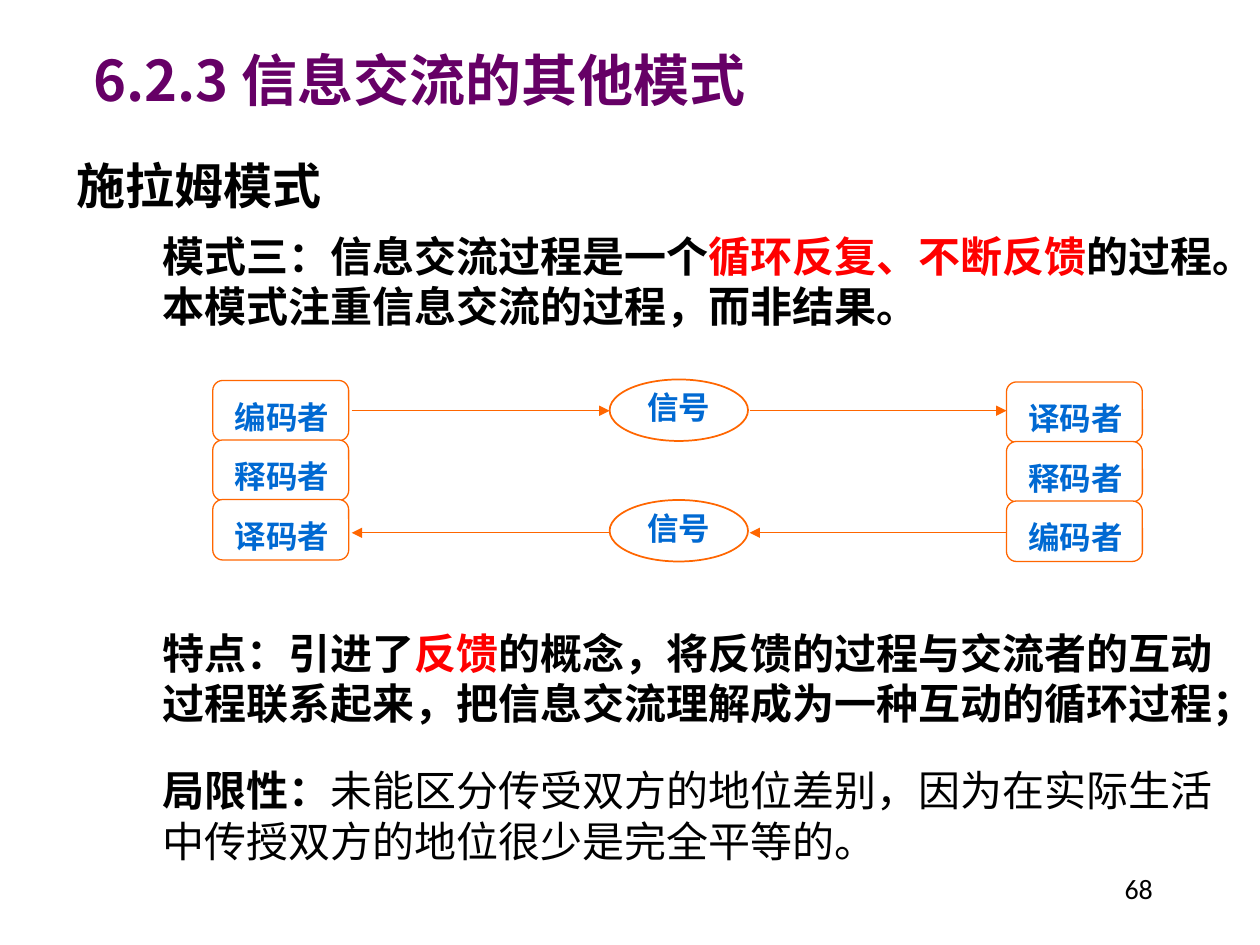
from typing import NamedTuple

from lxml.etree import SubElement
from pptx import Presentation
from pptx.dml.color import RGBColor
from pptx.enum.shapes import MSO_CONNECTOR, MSO_SHAPE
from pptx.enum.text import MSO_ANCHOR, PP_ALIGN
from pptx.oxml.ns import qn
from pptx.util import Cm, Pt

BLACK, RED, PURPLE = "000000", "FF0000", "660066"
ORANGE, BLUE, WHITE = "FF6600", "0069D2", "FFFFFF"


class Span(NamedTuple):
    text: str
    color: str = BLACK
    bold: bool = True
    font: str = "Calibri"


class Passage(NamedTuple):
    top: float
    height: float
    spans: list[Span]


class Communicator(NamedTuple):
    left: float
    top: float
    roles: list[str]


class Signal(NamedTuple):
    top: float
    flow_y: float
    stops: list[tuple[float, float]]


PASSAGES = [
    Passage(4.52, 1.4, [
        Span("模式三：信息交流过程是一个"),
        Span("循环反复、不断反馈", RED),
        Span("的过程。本模式注重信息交流的过程，而非结果。"),
    ]),
    Passage(12.52, 3, [
        Span("特点：引进了"),
        Span("反馈", RED),
        Span("的概念，将反馈的过程与交流者的互动过程联系起来，"
             "把信息交流理解成为一种互动的循环过程；"),
    ]),
    Passage(15.29, 1.19, [
        Span("局限性："),
        Span("未能区分传受双方的地位差别，因为在实际生活中"
             "传授双方的地位很少是完全平等的。", bold=False, font="Arial"),
    ]),
]
COMMUNICATORS = [
    Communicator(4.29, 7.67, ["编码者", "释码者", "译码者"]),
    Communicator(20.29, 7.7, ["译码者", "释码者", "编码者"]),
]
SIGNALS = [
    Signal(7.65, 8.28, [(7.09, 12.29), (15.11, 20.29)]),
    Signal(10.08, 10.74, [(12.29, 7.09), (20.29, 15.11)]),
]
SIGNAL_LEFT = 12.29
LABEL_WIDTH = 2.79
ROLE_PITCH = 1.2


def rgb(color: str) -> RGBColor:
    return RGBColor.from_string(color)


def add_text(slide, left: float, top: float, width: float, height: float,
             spans: list[Span], *, size: float, align=PP_ALIGN.LEFT,
             anchor=MSO_ANCHOR.TOP, indent: float = 0) -> None:
    frame = slide.shapes.add_textbox(
        Cm(left), Cm(top), Cm(width), Cm(height)).text_frame
    frame.word_wrap = True
    frame.vertical_anchor = anchor
    paragraph = frame.paragraphs[0]
    paragraph.alignment = align
    if indent:
        properties = paragraph._p.get_or_add_pPr()
        properties.set("marL", str(Cm(indent)))
        properties.set("indent", "0")
    for span in spans:
        run = paragraph.add_run()
        run.text = span.text
        run.font.size = Pt(size)
        run.font.name = span.font
        run.font.bold = span.bold
        run.font.color.rgb = rgb(span.color)


def add_label(slide, left: float, top: float, text: str) -> None:
    add_text(slide, left, top, LABEL_WIDTH, 1.02, [Span(text, BLUE)],
             size=18, align=PP_ALIGN.CENTER)


def add_outline(slide, preset, left: float, top: float, width: float,
                height: float, *, weight: float, fill: str = "") -> None:
    outline = slide.shapes.add_shape(
        preset, Cm(left), Cm(top), Cm(width), Cm(height))
    outline.shadow.inherit = False
    if fill:
        outline.fill.solid()
        outline.fill.fore_color.rgb = rgb(fill)
    else:
        outline.fill.background()
    outline.line.color.rgb = rgb(ORANGE)
    outline.line.width = Pt(weight)


def add_arrow(slide, start: float, end: float, y: float) -> None:
    arrow = slide.shapes.add_connector(
        MSO_CONNECTOR.STRAIGHT, Cm(start), Cm(y), Cm(end), Cm(y))
    arrow.line.color.rgb = rgb(ORANGE)
    arrow.line.width = Pt(0.75)
    SubElement(arrow.line._get_or_add_ln(), qn("a:tailEnd"), type="triangle")
    SubElement(arrow._element.spPr, qn("a:effectLst"))


def draw_communicator(slide, communicator: Communicator) -> None:
    left = communicator.left
    tops = [communicator.top + row * ROLE_PITCH
            for row in range(len(communicator.roles))]
    for top, role in zip(tops, communicator.roles):
        add_outline(slide, MSO_SHAPE.FLOWCHART_ALTERNATE_PROCESS,
                    left, top, 2.74, 1.22, weight=0.75, fill=WHITE)
        add_label(slide, left, top + 0.22, role)


def draw_signal(slide, signal: Signal) -> None:
    add_outline(slide, MSO_SHAPE.OVAL, SIGNAL_LEFT, signal.top,
                LABEL_WIDTH, 1.24, weight=1)
    add_label(slide, SIGNAL_LEFT, signal.top + 0.05, "信号")
    for start, end in signal.stops:
        add_arrow(slide, start, end, signal.flow_y)


def main() -> None:
    presentation = Presentation()
    presentation.slide_width, presentation.slide_height = Cm(25.4), Cm(19.05)
    slide = presentation.slides.add_slide(presentation.slide_layouts[6])

    add_text(slide, 0.58, 0.79, 15.77, 1.6,
             [Span("6.2.3 信息交流的其他模式", PURPLE, font="Noto Sans CJK SC")],
             size=32, align=PP_ALIGN.CENTER, anchor=MSO_ANCHOR.MIDDLE)
    add_text(slide, 1.3, 3.02, 22.86, 1.65, [Span("施拉姆模式")], size=28)
    for passage in PASSAGES:
        add_text(slide, 1.7, passage.top, 23.22, passage.height,
                 passage.spans, size=24, indent=1.32)
    for communicator in COMMUNICATORS:
        draw_communicator(slide, communicator)
    for signal in SIGNALS:
        draw_signal(slide, signal)
    add_text(slide, 20.9, 17.45, 2.59, 1.27, [Span("68", bold=False)],
             size=16, align=PP_ALIGN.RIGHT)

    presentation.save("out.pptx")


if __name__ == "__main__":
    main()
